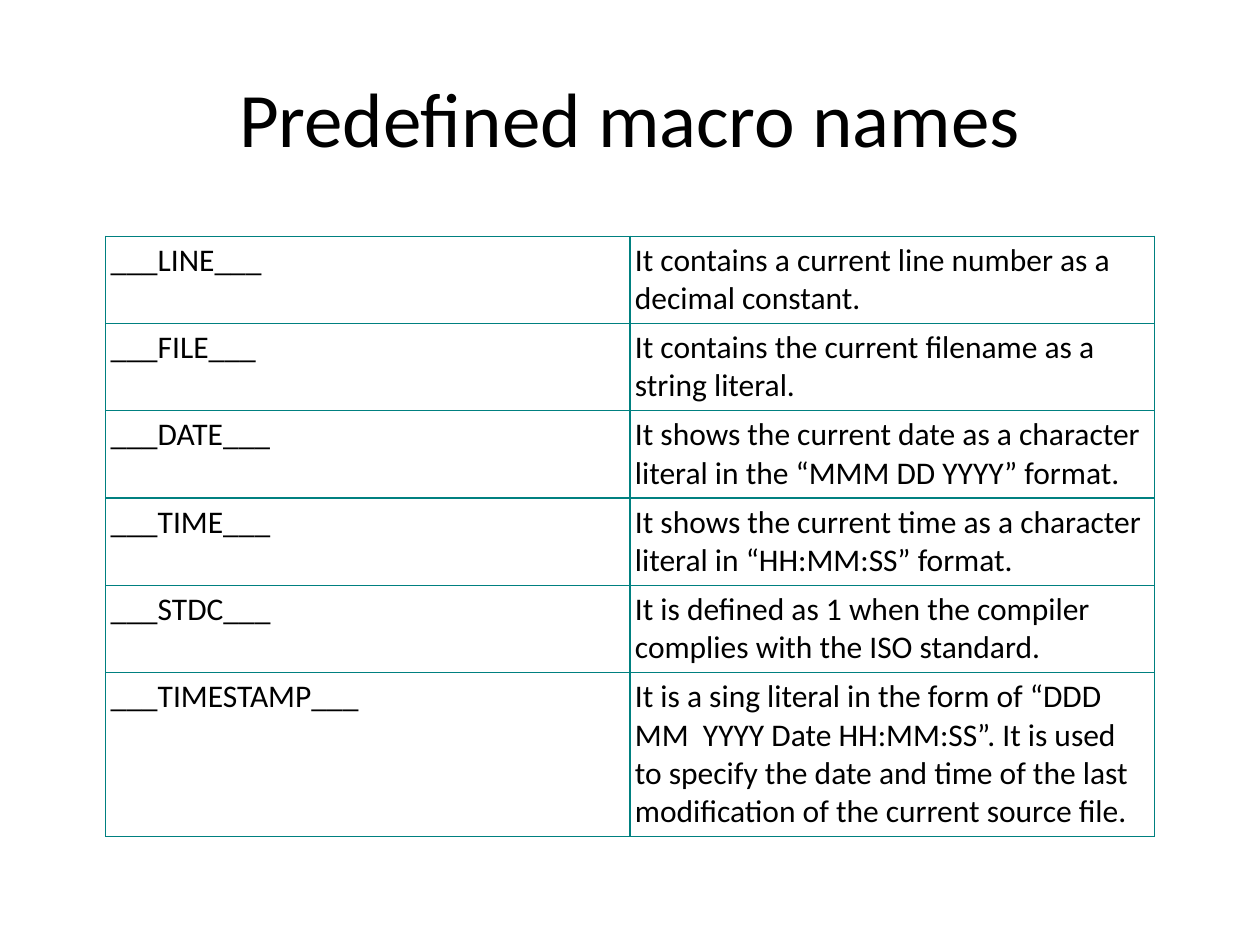
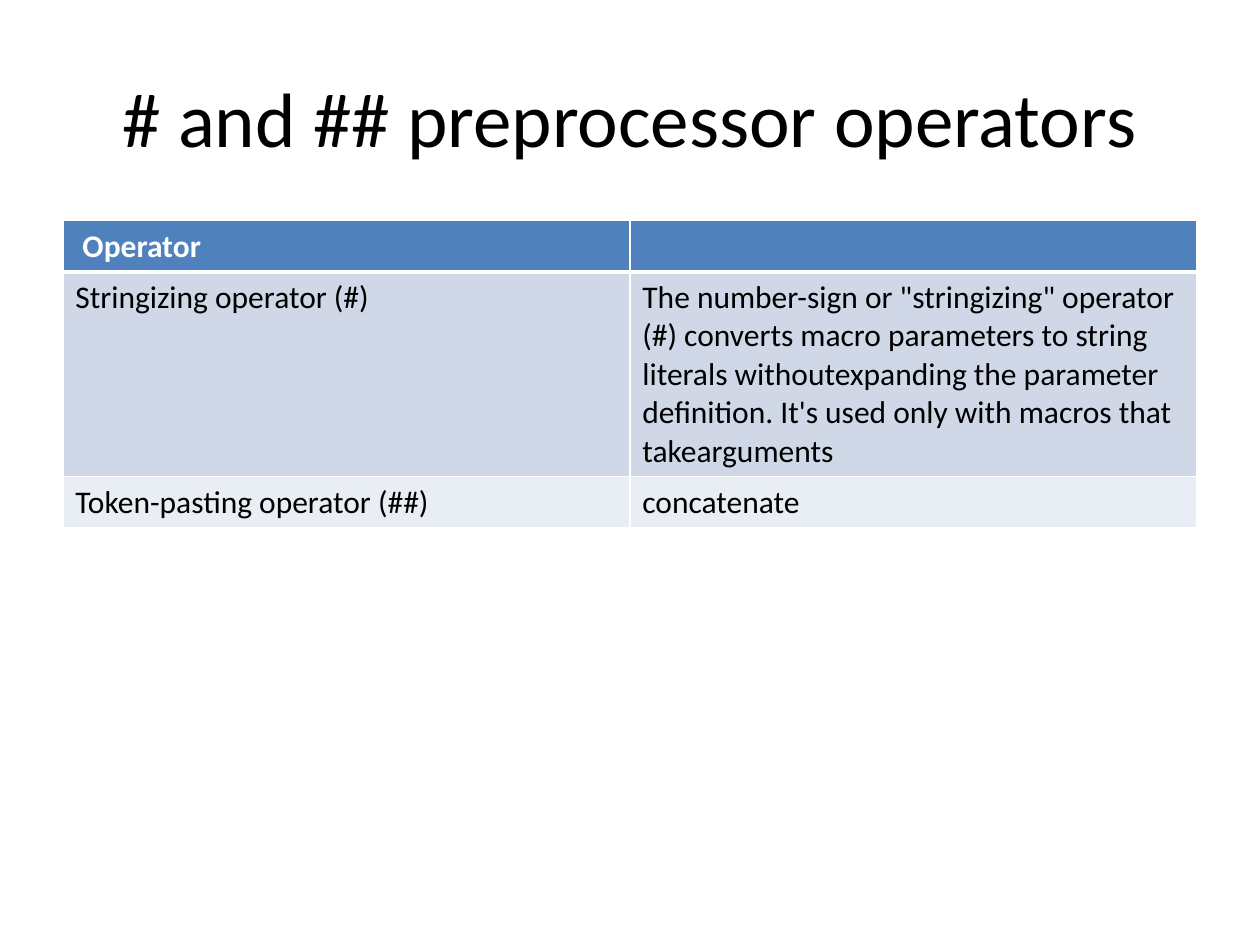
from dataclasses import dataclass

from lxml.etree import SubElement
from pptx import Presentation
from pptx.dml.color import RGBColor as Rgb
from pptx.enum.text import MSO_ANCHOR as Anchor, PP_ALIGN as Align
from pptx.oxml.ns import qn
from pptx.util import Cm, Pt


@dataclass(frozen=True)
class Theme:
    """Colours, type sizes and font shared by the slides."""
    font: str = "Calibri"
    title_size: int = 44
    body_size: int = 18
    ink: str = "000000"
    paper: str = "FFFFFF"
    teal: str = "008080"
    header: str = "4F81BD"
    bands: tuple = ("D0D8E8", "E9EDF4")


@dataclass(frozen=True)
class TableStyle:
    """Look of one table: line colour, line widths, row fills and cell inset."""
    line: str
    line_width: float
    fills: tuple
    inset: tuple
    header: bool = False
    header_rule: float = 3


THEME = Theme()

MACROS = [
    ("LINE", "It contains a current line number as a decimal constant."),
    ("FILE", "It contains the current filename as a string literal."),
    ("DATE", "It shows the current date as a character literal in the “MMM DD YYYY” format."),
    ("TIME", "It shows the current time as a character literal in “HH:MM:SS” format."),
    ("STDC", "It is defined as 1 when the compiler complies with the ISO standard."),
    ("TIMESTAMP", "It is a sing literal in the form of “DDD MM\u00a0\u00a0YYYY Date HH:MM:SS”. "
     "It is used to specify the date and time of the last modification "
     "of the current source file."),
]

OPERATORS = [
    (" Operator", ""),
    ("Stringizing operator (#) ",
     "The number-sign or \"stringizing\" operator (#) converts macro parameters to string "
     "literals withoutexpanding the parameter definition. It's used only with macros "
     "that takearguments"),
    ("Token-pasting operator (##)", "concatenate"),
]


def apply(target, values):
    """Set each named attribute on the target."""
    for name, value in values.items():
        setattr(target, name, value)


def write(para, text, size, color, bold=False):
    """Add one formatted span to a paragraph."""
    span = para.add_run()
    span.text = text
    apply(span.font, {"name": THEME.font, "size": Pt(size), "bold": bold})
    span.font.color.rgb = Rgb.from_string(color)


def add_title(page, text):
    """Place the centred slide title."""
    box = page.shapes.add_textbox(Cm(1.27), Cm(0.76), Cm(22.86), Cm(3.18))
    apply(box.text_frame, {"word_wrap": True, "vertical_anchor": Anchor.MIDDLE})
    para = box.text_frame.paragraphs[0]
    para.alignment = Align.CENTER
    write(para, text, THEME.title_size, THEME.ink)


def set_borders(cell, color, widths):
    """Draw solid cell borders from a dict of side and width in points."""
    properties = cell._tc.get_or_add_tcPr()
    for side, width in widths.items():
        line = SubElement(properties, qn(f"a:ln{side}"), w=str(Pt(width)))
        fill = SubElement(line, qn("a:solidFill"))
        SubElement(fill, qn("a:srgbClr"), val=color)


def fill_cell(cell, text, fill, ink, bold, style):
    """Set the fill, margins and text of a cell."""
    cell.fill.solid()
    cell.fill.fore_color.rgb = Rgb.from_string(fill)
    across, down = (Cm(size) for size in style.inset)
    apply(cell, {"margin_left": across, "margin_right": across,
                 "margin_top": down, "margin_bottom": down})
    if text:
        write(cell.text_frame.paragraphs[0], text, THEME.body_size, ink, bold)


def add_grid(page, rows, left, top, width, heights, style):
    """Add a table with equal columns in the given style."""
    columns = len(rows[0])
    frame = page.shapes.add_table(len(rows), columns, Cm(left), Cm(top),
                                  Cm(width), Cm(sum(heights)))
    table = frame.table
    apply(table, {"first_row": style.header, "horz_banding": False})
    for column in table.columns:
        column.width = Cm(width / columns)
    rules = [style.line_width] * (len(rows) + 1)
    if style.header:
        rules[1] = style.header_rule
    for index, (texts, height) in enumerate(zip(rows, heights)):
        table.rows[index].height = Cm(height)
        is_header = style.header and index == 0
        fill = THEME.header if is_header else style.fills[(index - style.header) % len(style.fills)]
        ink = THEME.paper if is_header else THEME.ink
        widths = {"L": style.line_width, "R": style.line_width,
                  "T": rules[index], "B": rules[index + 1]}
        for cell, text in zip(table.rows[index].cells, texts):
            set_borders(cell, style.line, widths)
            fill_cell(cell, text, fill, ink, is_header, style)


def add_page(deck, title):
    """Add a blank slide with a title."""
    page = deck.slides.add_slide(deck.slide_layouts[6])
    add_title(page, title)
    return page


def main():
    """Build and save the deck."""
    deck = Presentation()
    apply(deck, {"slide_width": Cm(25.4), "slide_height": Cm(19.05)})

    ruled = TableStyle(THEME.teal, 0.75, (THEME.paper,), (0.1, 0.1))
    macros = [(f"___{name}___", meaning) for name, meaning in MACROS]
    page = add_page(deck, "Predefined macro names")
    add_grid(page, macros, 2.13, 4.76, 21.14, [1.76] * 5 + [3.3], ruled)

    banded = TableStyle(THEME.paper, 1, THEME.bands, (0.25, 0.13), header=True)
    page = add_page(deck, "# and ## preprocessor operators")
    add_grid(page, OPERATORS, 1.27, 4.45, 22.86, [1.03, 4.13, 1.03], banded)

    deck.save("out.pptx")


if __name__ == "__main__":
    main()
